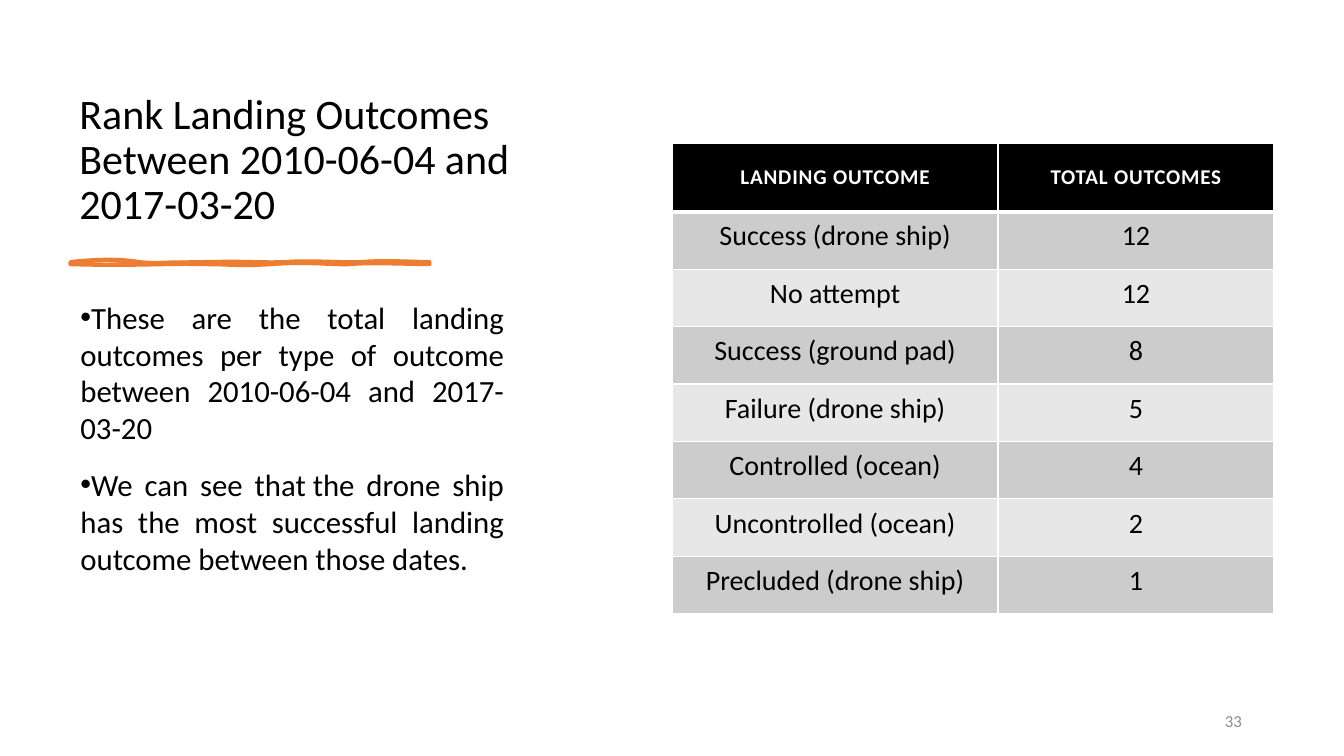
from dataclasses import dataclass

from lxml.etree import SubElement
from pptx import Presentation
from pptx.dml.color import RGBColor
from pptx.enum.text import MSO_ANCHOR, PP_ALIGN
from pptx.oxml.ns import qn
from pptx.util import Inches, Pt


@dataclass(frozen=True)
class Theme:
    font: str = "Calibri"
    ink: str = "000000"
    paper: str = "FFFFFF"
    accent: str = "ED7D31"
    muted: str = "8C8C8C"
    bands: tuple = ("CCCCCC", "E7E7E7")
    title: int = 30
    body: int = 22
    cell: int = 20
    header: int = 15
    number: int = 12


THEME = Theme()

TITLE = "Rank Landing Outcomes Between 2010-06-04 and 2017-03-20"
POINTS = [
    "These are the total landing outcomes per type of outcome between 2010-06-04 and 2017-03-20",
    "We can see that\u00a0the drone ship has the most successful landing outcome between those dates.",
]
HEADER = ("LANDING OUTCOME", "TOTAL OUTCOMES")
OUTCOMES = [
    ("Success (drone ship)", "12"),
    ("No attempt", "12"),
    ("Success (ground pad)", "8"),
    ("Failure (drone ship)", "5"),
    ("Controlled (ocean)", "4"),
    ("Uncontrolled (ocean)", "2"),
    ("Precluded (drone ship)", "1"),
]

# Each brush stroke: start point, then cubic segments (two controls and an end),
# in inches from the left end of the upper edge.
STROKE_OUTLINE = [
    (0, 0),
    (0.27, -0.03), (0.51, -0.03), (0.68, 0), (0.85, 0.02), (1.07, 0), (1.39, 0),
    (1.71, -0.01), (1.9, 0.01), (2.14, 0), (2.38, -0.02), (2.69, 0.01), (2.89, 0),
    (3.09, -0.02), (3.42, 0), (3.56, 0), (3.56, 0), (3.56, 0.01), (3.56, 0.02),
    (3.38, 0.02), (2.94, 0), (2.78, 0.02), (2.62, 0.03), (2.34, -0.01), (2, 0.02),
    (1.65, 0.04), (1.61, 0.02), (1.29, 0.02), (0.96, 0.01), (0.62, 0.04), (0, 0.02),
    (0, 0.01), (0, 0), (0, 0),
]
STROKE_FILL = [
    (0, 0),
    (0.32, 0.02), (0.4, 0), (0.68, 0), (0.96, -0.01), (0.99, -0.03), (1.29, 0),
    (1.58, 0.02), (1.91, 0.01), (2.07, 0), (2.23, -0.02), (2.57, 0.02), (2.74, 0),
    (2.92, -0.03), (3.27, 0.03), (3.56, 0), (3.56, 0), (3.56, 0.01), (3.56, 0.02),
    (3.42, 0.01), (3.02, 0.04), (2.85, 0.02), (2.69, -0.01), (2.39, 0.02), (2.07, 0.02),
    (1.74, 0.01), (1.7, 0), (1.46, 0.02), (1.23, 0.03), (1.09, 0.01), (0.75, 0.02),
    (0.41, 0.02), (0.22, 0.01), (0, 0.02), (0, 0.01), (0, 0), (0, 0),
]


def rgb(value):
    return RGBColor.from_string(value)


def add_run(p, text, size, color, bold=False):
    r = p.add_run()
    r.text = text
    f = r.font
    f.name, f.size, f.bold = THEME.font, Pt(size), bold
    f.color.rgb = rgb(color)
    return r


def add_text_frame(s, box, anchor):
    tf = s.shapes.add_textbox(*map(Inches, box)).text_frame
    tf.word_wrap = True
    tf.vertical_anchor = anchor
    return tf


def add_title(s, box):
    p = add_text_frame(s, box, MSO_ANCHOR.BOTTOM).paragraphs[0]
    p.line_spacing = 0.9
    p.space_after = Pt(6)
    add_run(p, TITLE, THEME.title, THEME.ink)


def add_curve(outlines, size, curve, **paint):
    """Append one closed chain of cubic segments to a custom geometry."""
    width, height = map(Inches, size)
    outline = SubElement(outlines, qn("a:path"), w=str(width), h=str(height), **paint)

    def add_points_to(command, points):
        node = SubElement(outline, qn(command))
        for x, y in points:
            SubElement(node, qn("a:pt"), x=str(Inches(x)), y=str(Inches(y)))

    add_points_to("a:moveTo", curve[:1])
    for i in range(1, len(curve), 3):
        add_points_to("a:cubicBezTo", curve[i:i + 3])
    SubElement(outline, qn("a:close"))


def add_brush_stroke(s, box):
    left, top, width, height = map(Inches, box)
    builder = s.shapes.build_freeform(left, top)
    builder.add_line_segments([(left + width, top), (left + width, top + height)])
    sp = builder.convert_to_shape()
    sp.shadow.inherit = False
    sp.fill.solid()
    sp.fill.fore_color.rgb = rgb(THEME.accent)
    sp.line.color.rgb = rgb(THEME.accent)
    sp.line.width = Pt(3)
    outlines = next(sp._element.iter(qn("a:pathLst")))
    outlines.remove(outlines[0])
    add_curve(outlines, box[2:], STROKE_OUTLINE, fill="none")
    add_curve(outlines, box[2:], STROKE_FILL, stroke="0")


def add_points(s, box):
    tf = add_text_frame(s, box, MSO_ANCHOR.TOP)
    for i, text in enumerate(POINTS):
        p = tf.add_paragraph() if i else tf.paragraphs[0]
        pPr = p._p.get_or_add_pPr()
        pPr.set("marL", "0")
        pPr.set("indent", "0")
        SubElement(pPr, qn("a:buFont"), typeface="Arial")
        SubElement(pPr, qn("a:buChar"), char="•")
        p.alignment = PP_ALIGN.JUSTIFY
        p.line_spacing = 1.0
        if i:
            p.space_before = Pt(14)
        add_run(p, text, THEME.body, THEME.ink)


def set_borders(cell, bottom):
    """White edges, placed ahead of the cell's fill as the schema asks."""
    tcPr = cell._tc.get_or_add_tcPr()
    for i, (side, width) in enumerate((("L", 1), ("R", 1), ("T", 1), ("B", bottom))):
        ln = SubElement(tcPr, qn(f"a:ln{side}"), w=str(Pt(width)))
        fill = SubElement(ln, qn("a:solidFill"))
        SubElement(fill, qn("a:srgbClr"), val=THEME.paper)
        tcPr.insert(i, ln)


def fill_cell(cell, text, row):
    is_header = row == 0
    margins = (0.19,) * 4 if is_header else (0.11, 0.05, 0.11, 0.13)
    (cell.margin_left, cell.margin_top,
     cell.margin_right, cell.margin_bottom) = map(Inches, margins)
    cell.vertical_anchor = MSO_ANCHOR.MIDDLE
    cell.fill.solid()
    cell.fill.fore_color.rgb = rgb(THEME.ink if is_header else THEME.bands[(row - 1) % 2])
    set_borders(cell, 3 if is_header else 1)
    p = cell.text_frame.paragraphs[0]
    p.alignment = PP_ALIGN.CENTER
    if is_header:
        r = add_run(p, text, THEME.header, THEME.paper, bold=True)
        r.font._element.set("spc", "60")
    else:
        add_run(p, text, THEME.cell, THEME.ink)


def add_outcome_table(s, box):
    rows = [HEADER, *OUTCOMES]
    width, height = box[2:]
    table = s.shapes.add_table(len(rows), len(HEADER), *map(Inches, box)).table
    first_column, header_height = 3.23, 0.68
    table.columns[0].width = Inches(first_column)
    table.columns[1].width = Inches(width - first_column)
    body_height = (height - header_height) / len(OUTCOMES)
    for i, texts in enumerate(rows):
        table.rows[i].height = Inches(body_height if i else header_height)
        for j, text in enumerate(texts):
            fill_cell(table.cell(i, j), text, i)


def add_slide_number(s, box):
    p = add_text_frame(s, box, MSO_ANCHOR.MIDDLE).paragraphs[0]
    p.alignment = PP_ALIGN.RIGHT
    add_run(p, "33", THEME.number, THEME.muted)


def main():
    prs = Presentation()
    prs.slide_width, prs.slide_height = Inches(40 / 3), Inches(7.5)
    s = prs.slides.add_slide(prs.slide_layouts[6])
    add_title(s, (0.69, 0.7, 5.27, 1.62))
    add_brush_stroke(s, (0.7, 2.6, 3.56, 0.02))
    add_points(s, (0.7, 2.91, 4.4, 3.88))
    add_slide_number(s, (9.42, 6.95, 3, 0.4))
    add_outcome_table(s, (6.67, 1.42, 5.97, 4.67))
    prs.save("out.pptx")


if __name__ == "__main__":
    main()
